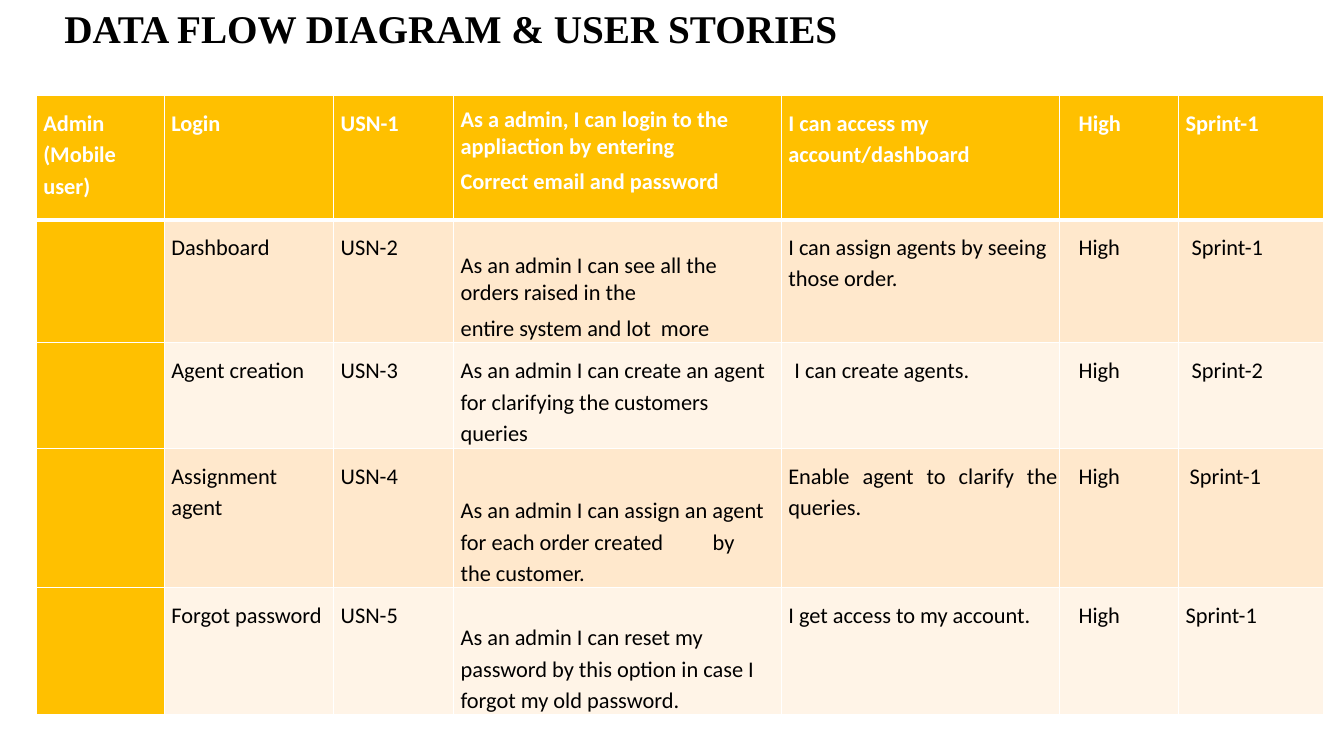
from dataclasses import dataclass

from lxml import etree
from pptx import Presentation
from pptx import util as u
from pptx.dml.color import RGBColor
from pptx.enum import text
from pptx.oxml import ns

BLACK = RGBColor(0x00, 0x00, 0x00)
WHITE = RGBColor(0xFF, 0xFF, 0xFF)
AMBER = RGBColor(0xFF, 0xC0, 0x00)
PEACH = RGBColor(0xFF, 0xE8, 0xCC)
CREAM = RGBColor(0xFF, 0xF4, 0xE7)

TOP, MIDDLE, BOTTOM = (text.MSO_ANCHOR.TOP, text.MSO_ANCHOR.MIDDLE,
                       text.MSO_ANCHOR.BOTTOM)
COLUMN_WIDTHS = (1.27, 1.68, 1.19, 3.25, 2.76, 1.18, 1.44)
PRIORITY_INDENT = 0.12


@dataclass(frozen=True)
class Line:
    words: str
    spacing: float = 1.15
    after: float = 0
    indent: float = 0
    justified: bool = False


@dataclass(frozen=True)
class Story:
    height: float
    user: str
    feature: str
    number: str
    task: tuple[Line, ...]
    acceptance: Line
    sprint: Line
    task_anchor: text.MSO_ANCHOR = BOTTOM

    def cells(self) -> list[tuple[Line, ...]]:
        user = (Line(self.user),) if self.user else ()
        return [user, (Line(self.feature),), (Line(self.number),), self.task,
                (self.acceptance,), (Line("High", indent=PRIORITY_INDENT),),
                (self.sprint,)]


STORIES = (
    Story(1.23, "Admin (Mobile user)", "Login", "USN-1",
          (Line("As a admin, I can login to the appliaction by entering",
                spacing=1.0, after=2.7),
           Line("Correct email and password")),
          Line("I can access my account/dashboard"), Line("Sprint-1"), TOP),
    Story(1.22, "", "Dashboard", "USN-2",
          (Line("As an admin I can see all the orders raised in the",
                spacing=1.01, after=3.2),
           Line("entire system and lot  more")),
          Line("I can assign agents by seeing those order."),
          Line("Sprint-1", indent=0.06)),
    Story(1.05, "", "Agent creation", "USN-3",
          (Line("As an admin I can create an agent for clarifying "
                "the customers queries"),),
          Line("I can create agents.", indent=0.06),
          Line("Sprint-2", indent=0.06), MIDDLE),
    Story(1.38, "", "Assignment agent", "USN-4",
          (Line("As an admin I can assign an agent for each order created "
                "\tby \tthe customer."),),
          Line("Enable agent to clarify the queries. ", justified=True),
          Line("Sprint-1", indent=0.04)),
    Story(1.26, "", "Forgot password", "USN-5",
          (Line("As an admin I can reset my password by this option "
                "in case I forgot my old password."),),
          Line("I get access to my account."), Line("Sprint-1")),
)


def add_span(para, words: str, font: str, size: float, color: RGBColor,
             bold: bool) -> None:
    span = para.add_run()
    span.text = words
    span.font.name = font
    span.font.size = u.Pt(size)
    span.font.bold = bold
    span.font.color.rgb = color


def write_cell(cell, lines: tuple[Line, ...], color: RGBColor,
               bold: bool) -> None:
    cell.margin_left, cell.margin_top = u.Inches(0.07), u.Inches(0.1)
    cell.margin_right, cell.margin_bottom = u.Inches(0.02), u.Inches(0)
    frame = cell.text_frame
    for index, line in enumerate(lines):
        para = frame.add_paragraph() if index else frame.paragraphs[0]
        para.line_spacing = line.spacing
        para.space_after = u.Pt(line.after)
        if line.justified:
            para.alignment = text.PP_ALIGN.JUSTIFY
        if line.indent:
            properties = para._p.get_or_add_pPr()
            properties.set("marL", str(u.Inches(line.indent)))
        add_span(para, line.words, "Calibri", 16, color, bold)


def set_borders(cell, top: float, bottom: float) -> None:
    properties = cell._tc.get_or_add_tcPr()
    widths = {"a:lnL": 1, "a:lnR": 1, "a:lnT": top, "a:lnB": bottom}
    for index, (tag, width) in enumerate(widths.items()):
        border = etree.Element(ns.qn(tag), w=str(u.Pt(width)))
        fill = etree.SubElement(border, ns.qn("a:solidFill"))
        etree.SubElement(fill, ns.qn("a:srgbClr"), val=str(WHITE))
        properties.insert(index, border)


def add_title(page) -> None:
    box = page.shapes.add_textbox(u.Inches(0.54), u.Inches(0),
                                  u.Inches(11.5), u.Inches(1.07))
    frame = box.text_frame
    frame.word_wrap = True
    frame.vertical_anchor = TOP
    frame.margin_top = u.Inches(0.1)
    para = frame.paragraphs[0]
    para.line_spacing = 0.9
    add_span(para, "DATA FLOW DIAGRAM & USER STORIES", "Times New Roman", 28,
             BLACK, True)


def add_stories(page) -> None:
    table = page.shapes.add_table(
        len(STORIES), len(COLUMN_WIDTHS), u.Inches(0.36), u.Inches(0.95),
        u.Inches(sum(COLUMN_WIDTHS)),
        u.Inches(sum(story.height for story in STORIES))).table
    table.horz_banding = False
    for column, width in zip(table.columns, COLUMN_WIDTHS):
        column.width = u.Inches(width)
    for row, story in enumerate(STORIES):
        table.rows[row].height = u.Inches(story.height)
        heading = row == 0
        band = PEACH if row % 2 else CREAM
        for column, lines in enumerate(story.cells()):
            cell = table.cell(row, column)
            write_cell(cell, lines, WHITE if heading else BLACK, heading)
            cell.vertical_anchor = story.task_anchor if column == 3 else TOP
            cell.fill.solid()
            cell.fill.fore_color.rgb = (AMBER if heading or column == 0
                                        else band)
            set_borders(cell, 3 if row == 1 else 1, 3 if heading else 1)


def main() -> None:
    deck = Presentation()
    deck.slide_width, deck.slide_height = u.Inches(13.33), u.Inches(7.5)
    page = deck.slides.add_slide(deck.slide_layouts[6])
    add_title(page)
    add_stories(page)
    deck.save("out.pptx")


if __name__ == "__main__":
    main()
